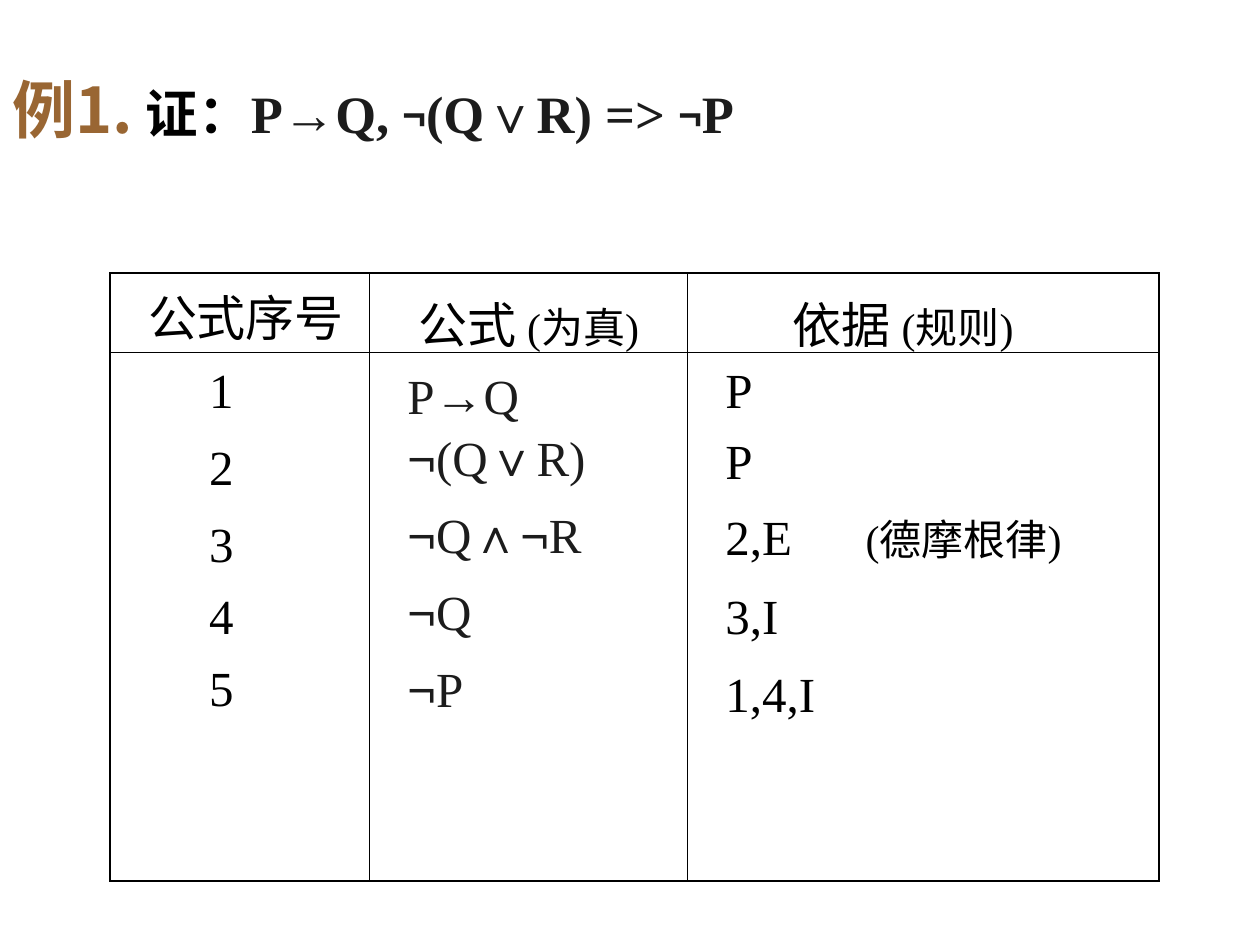
from dataclasses import dataclass
from itertools import groupby

from lxml.etree import SubElement
from pptx import Presentation
from pptx.dml.color import RGBColor
from pptx.enum.text import MSO_AUTO_SIZE
from pptx.oxml.ns import qn
from pptx.util import Cm, Pt


@dataclass(frozen=True)
class Theme:
    black: RGBColor = RGBColor(0x00, 0x00, 0x00)
    formula: RGBColor = RGBColor(0x1C, 0x1C, 0x1C)
    brown: RGBColor = RGBColor(0x99, 0x66, 0x33)
    serif: str = "Times New Roman"
    symbol: str = "Arial"
    chinese: str = "Noto Sans CJK SC"
    example: Pt = Pt(36)
    gap: Pt = Pt(32)
    title: Pt = Pt(30)
    negation: Pt = Pt(40)
    body: Pt = Pt(28)
    note: Pt = Pt(24)
    outer_line: Pt = Pt(1.08)
    inner_line: Pt = Pt(0.45)


theme = Theme()


def add_runs(paragraph, text, size, face=theme.serif, colour=None):
    """Add text, setting the logic signs in the symbol font."""
    for is_symbol, characters in groupby(text, lambda character: character in "¬→"):
        run = paragraph.add_run()
        run.text = "".join(characters)
        run.font.size = size
        run.font.name = theme.symbol if is_symbol else face
        if colour is not None:
            run.font.color.rgb = colour
        SubElement(run.font._element, qn("a:ea"), typeface=theme.chinese)


def draw_border(cell, side, width):
    line = SubElement(cell._tc.get_or_add_tcPr(), qn(f"a:ln{side}"), w=str(int(width)))
    fill = SubElement(line, qn("a:solidFill"))
    SubElement(fill, qn("a:srgbClr"), val=str(theme.black))


presentation = Presentation()
presentation.slide_width, presentation.slide_height = Cm(25.4), Cm(19.05)
slide = presentation.slides.add_slide(presentation.slide_layouts[6])

# Title with the statement to prove
title_box = slide.shapes.add_textbox(Cm(0), Cm(0.65), Cm(25.4), Cm(2.46))
title_box.text_frame.word_wrap = True
title_box.text_frame.auto_size = MSO_AUTO_SIZE.SHAPE_TO_FIT_TEXT
paragraph = title_box.text_frame.paragraphs[0]
paragraph.line_spacing = 1.3
paragraph.font.bold = True
add_runs(paragraph, "例1.", theme.example, theme.chinese, theme.brown)
add_runs(paragraph, " ", theme.gap, theme.chinese, theme.black)
add_runs(paragraph, "证：", theme.title, theme.chinese, theme.black)
add_runs(paragraph, "P→Q, ¬(Q∨R) => ¬P", theme.title, colour=theme.formula)
for run in paragraph.runs:
    if run.text == "¬":
        run.font.size = theme.negation
        run.font._element.set("baseline", "6000")

# Cells: each paragraph is text, note, left indent in cm, line spacing, space before
cells = [
    [
        [("公式序号", "", 0.51, 1.0, 0)],
        [("公式", "(为真)", 0.73, 1.1, 0)],
        [("依据", "(规则)", 1.87, 1.1, 0)],
    ],
    [
        [
            ("1", "", 1.74, 1.1, 0),
            ("2", "", 1.74, 1.2, 7),
            ("3", "", 1.74, 1.2, 7),
            ("4", "", 1.74, 1.1, 7),
            ("5", "", 1.74, 1.1, 7),
        ],
        [
            ("P→Q", "", 0.51, 1.2, 0),
            ("¬(Q∨R)", "", 0.51, 0.9, 7),
            ("¬Q∧¬R", "", 0.51, 1.2, 7),
            ("¬Q", "", 0.51, 1.4, 0),
            ("¬P", "", 0.51, 1.4, 0),
        ],
        [
            ("P", "", 0.51, 1.1, 0),
            ("P", "", 0.51, 1.1, 7),
            ("2,E", "(德摩根律)", 0.51, 1.1, 6),
            ("3,I", "", 0.51, 1.2, 7),
            ("1,4,I", "", 0.51, 1.2, 7),
        ],
    ],
]

# Proof table
column_widths = [Cm(5.23), Cm(6.41), Cm(9.51)]
row_heights = [Cm(1.6), Cm(10.65)]
table = slide.shapes.add_table(
    len(row_heights), len(column_widths),
    Cm(2.22), Cm(5.51), sum(column_widths), sum(row_heights),
).table
table.first_row = table.horz_banding = False
for column, width in zip(table.columns, column_widths):
    column.width = width
for row, height in zip(table.rows, row_heights):
    row.height = height

for row_index, row_cells in enumerate(cells):
    for column_index, lines in enumerate(row_cells):
        cell = table.cell(row_index, column_index)
        cell.margin_right = Cm(0.05)

        # Heavy outer frame, fine inner rules
        outer_sides = {
            "L": column_index == 0,
            "R": column_index == len(column_widths) - 1,
            "T": row_index == 0,
            "B": row_index == len(row_heights) - 1,
        }
        for side, is_outer in outer_sides.items():
            draw_border(cell, side, theme.outer_line if is_outer else theme.inner_line)
        cell.fill.background()

        # Text
        is_formula = row_index == 1 and column_index == 1
        for line_index, (text, note, indent, spacing, before) in enumerate(lines):
            frame = cell.text_frame
            paragraph = frame.add_paragraph() if line_index else frame.paragraphs[0]
            properties = paragraph._p.get_or_add_pPr()
            properties.set("marL", str(Cm(indent)))
            properties.set("indent", "0")
            paragraph.line_spacing = spacing
            paragraph.space_before = Pt(before)
            paragraph.font.color.rgb = theme.formula if is_formula else theme.black
            add_runs(paragraph, text, theme.body)
            if note:
                add_runs(paragraph, " ", theme.body)
                if row_index > 0:
                    # Widen the gap before the name of the law
                    paragraph.runs[-1].font._element.set("spc", "3500")
                add_runs(paragraph, note, theme.note)

presentation.save("out.pptx")
